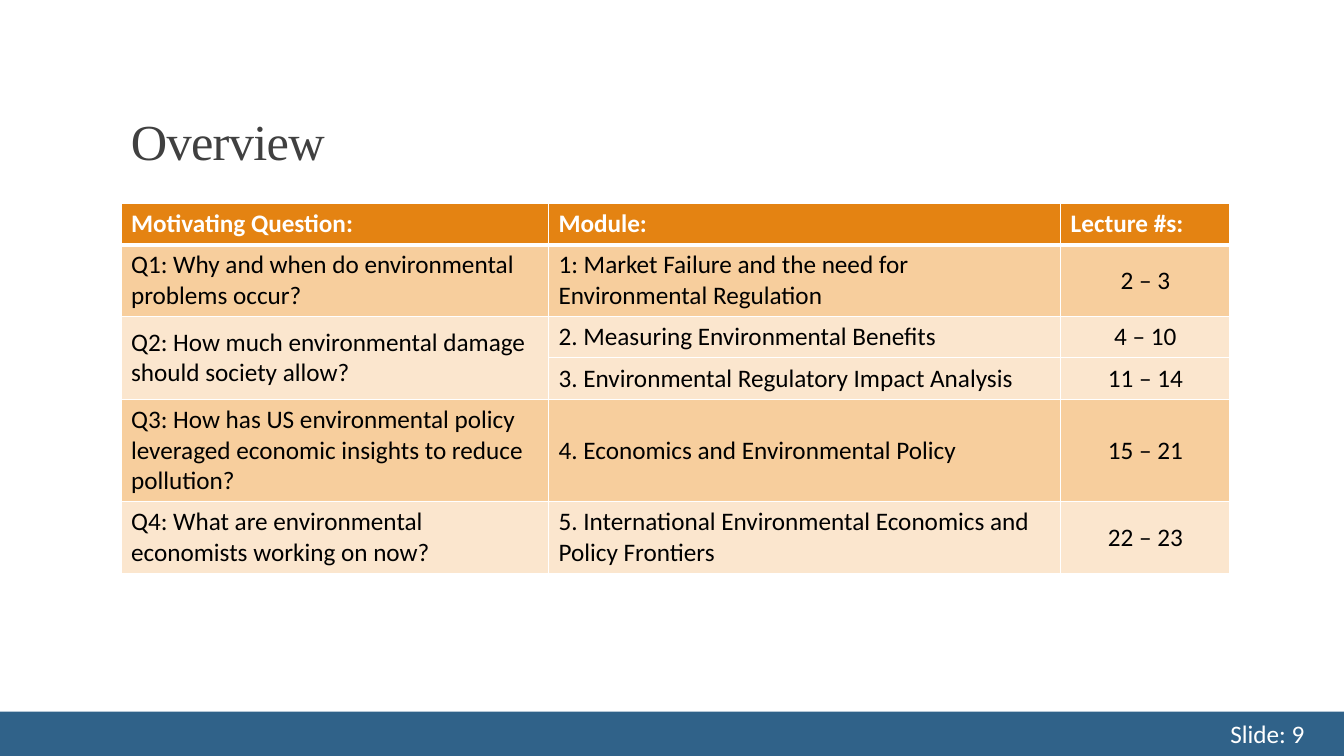
from lxml.etree import SubElement
from pptx import Presentation
from pptx.dml.color import RGBColor
from pptx.enum.shapes import MSO_SHAPE
from pptx.enum.text import MSO_ANCHOR, PP_ALIGN
from pptx.oxml.ns import qn
from pptx.util import Inches, Pt

WHITE = RGBColor(0xFF, 0xFF, 0xFF)
BLACK = RGBColor(0x00, 0x00, 0x00)
TITLE_GREY = RGBColor(0x40, 0x40, 0x40)
FOOTER_BLUE = RGBColor(0x30, 0x62, 0x89)
HEADER_ORANGE = RGBColor(0xE4, 0x83, 0x12)
DARK_BAND = RGBColor(0xF7, 0xCE, 0x9D)
LIGHT_BAND = RGBColor(0xFB, 0xE6, 0xCE)

HEADINGS = ("Motivating Question:", "Module:", "Lecture #s:")
# Each question with its modules and their lecture numbers
QUESTIONS = [
    ("Q1: Why and when do environmental problems occur?",
     [("1: Market Failure and the need for Environmental Regulation", "2 – 3")]),
    ("Q2: How much environmental damage should society allow?",
     [("2. Measuring Environmental Benefits", "4 – 10"),
      ("3. Environmental Regulatory Impact Analysis", "11 – 14")]),
    ("Q3: How has US environmental policy leveraged economic insights to reduce pollution?",
     [("4. Economics and Environmental Policy", "15 – 21")]),
    ("Q4: What are environmental economists working on now?",
     [("5. International Environmental Economics and Policy Frontiers", "22 – 23")]),
]
COLUMN_WIDTHS = (4.24, 5.08, 1.68)
ROW_HEIGHTS = (0.41, 0.71, 0.41, 0.41, 1.02, 0.71)


def style_paragraph(paragraph, size, color, name="Calibri", bold=False, align=PP_ALIGN.LEFT):
    paragraph.alignment = align
    font = paragraph.font
    font.size, font.name, font.bold = Pt(size), name, bold
    font.color.rgb = color


def add_text(slide, text, left, top, width, height, anchor):
    frame = slide.shapes.add_textbox(
        Inches(left), Inches(top), Inches(width), Inches(height)).text_frame
    frame.word_wrap = True
    frame.vertical_anchor = anchor
    frame.text = text
    return frame.paragraphs[0]


def add_title(slide):
    title = add_text(slide, "Overview", 1.2, 0.33, 11, 1.41, MSO_ANCHOR.BOTTOM)
    style_paragraph(title, 36, TITLE_GREY, name="Times New Roman")
    title.line_spacing = 0.85
    title.runs[0].font._element.set("spc", "-50")


def add_footer(slide):
    bar = slide.shapes.add_shape(
        MSO_SHAPE.RECTANGLE, 0, Inches(7.06), Inches(13.33), Inches(0.46))
    bar.shadow.inherit = False
    bar.fill.solid()
    bar.fill.fore_color.rgb = FOOTER_BLUE
    bar.line.fill.background()
    number = add_text(slide, "Slide: 9", 11.8, 7.12, 1.54, 0.32, MSO_ANCHOR.MIDDLE)
    style_paragraph(number, 18, WHITE, align=PP_ALIGN.CENTER)


def set_borders(cell, top, bottom):
    """Draw white borders: 1 pt at the sides, the given points above and below."""
    properties = cell._tc.get_or_add_tcPr()
    for side, points in (("L", 1), ("R", 1), ("T", top), ("B", bottom)):
        line = SubElement(properties, qn(f"a:ln{side}"), w=str(Pt(points)))
        fill = SubElement(line, qn("a:solidFill"))
        SubElement(fill, qn("a:srgbClr"), val=str(WHITE))


def style_cell(cell, fill, top=1, bottom=1):
    set_borders(cell, top, bottom)
    cell.fill.solid()
    cell.fill.fore_color.rgb = fill


def add_overview_table(slide):
    table = slide.shapes.add_table(
        len(ROW_HEIGHTS), len(COLUMN_WIDTHS), Inches(1.2), Inches(2.02),
        Inches(sum(COLUMN_WIDTHS)), Inches(sum(ROW_HEIGHTS))).table
    for column, width in zip(table.columns, COLUMN_WIDTHS):
        column.width = Inches(width)
    for row, height in zip(table.rows, ROW_HEIGHTS):
        row.height = Inches(height)

    for column, heading in enumerate(HEADINGS):
        cell = table.cell(0, column)
        style_cell(cell, HEADER_ORANGE, bottom=3)
        cell.text = heading
        style_paragraph(cell.text_frame.paragraphs[0], 18, WHITE, bold=True)

    row = 1
    for index, (question, modules) in enumerate(QUESTIONS):
        band = LIGHT_BAND if index % 2 else DARK_BAND
        first_row = row
        for module, lectures in modules:
            for column, text in enumerate((question, module, lectures)):
                cell = table.cell(row, column)
                style_cell(cell, band, top=3 if row == 1 else 1)
                cell.vertical_anchor = MSO_ANCHOR.MIDDLE
                if column == 0 and row > first_row:
                    continue
                cell.text = text
                align = PP_ALIGN.CENTER if column == 2 else PP_ALIGN.LEFT
                style_paragraph(cell.text_frame.paragraphs[0], 18, BLACK, align=align)
            row += 1
        if len(modules) > 1:
            table.cell(first_row, 0).merge(table.cell(row - 1, 0))


def main():
    presentation = Presentation()
    presentation.slide_width = Inches(13.33)
    presentation.slide_height = Inches(7.5)
    slide = presentation.slides.add_slide(presentation.slide_layouts[6])
    add_footer(slide)
    add_overview_table(slide)
    add_title(slide)
    presentation.save("out.pptx")


if __name__ == "__main__":
    main()
